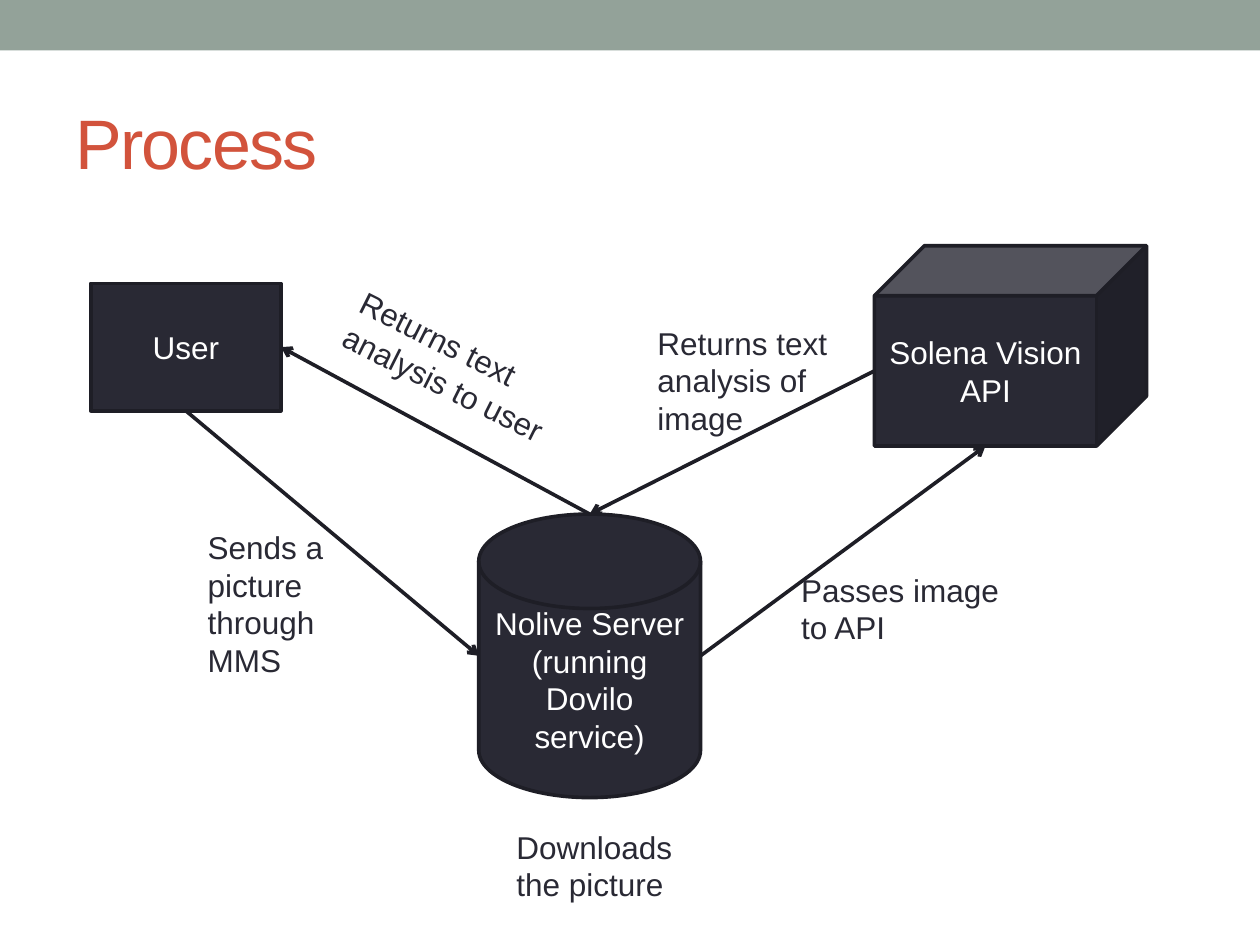
from lxml.etree import SubElement
from pptx import Presentation
from pptx.dml.color import RGBColor
from pptx.enum.shapes import MSO_CONNECTOR, MSO_SHAPE
from pptx.enum.text import MSO_ANCHOR, PP_ALIGN
from pptx.oxml.ns import qn
from pptx.util import Inches, Pt

COLORS = {
    "band": "93A299",
    "title": "D2533C",
    "node": "292934",
    "edge": "1E1E26",
    "light": "FFFFFF",
}
FONT = "Arial"
WIDTH, HEIGHT = Inches(10), Inches(7.5)
CUBE_DEPTH = 0.25

LABELS = [
    ("Sends a picture through MMS", (15.5, 55.2, 13.7, 17.47), 0),
    ("Downloads the picture", (40, 86.93, 15.7, 9.47), 0),
    ("Passes image to API", (62.6, 59.73, 18.3, 9.47), 0),
    ("Returns text analysis of image", (51.2, 33.6, 18.3, 13.47), 0),
    ("Returns text analysis to user", (26.1, 34.53, 20.7, 9.47), 26.7),
]


def color(name):
    return RGBColor.from_string(COLORS[name])


def place(left, top, width, height):
    return (
        int(WIDTH * left / 100),
        int(HEIGHT * top / 100),
        int(WIDTH * width / 100),
        int(HEIGHT * height / 100),
    )


def write(frame, lines, ink, size=18, align=PP_ALIGN.LEFT, anchor=MSO_ANCHOR.TOP):
    frame.word_wrap = True
    frame.vertical_anchor = anchor
    frame.text = "\n".join(lines)
    for paragraph in frame.paragraphs:
        paragraph.alignment = align
        paragraph.font.name = FONT
        paragraph.font.size = Pt(size)
        paragraph.font.color.rgb = color(ink)


def add_band(slide):
    band = slide.shapes.add_shape(MSO_SHAPE.RECTANGLE, *place(0, 0, 100, 5.33))
    band.shadow.inherit = False
    band.fill.solid()
    band.fill.fore_color.rgb = color("band")
    band.line.fill.background()


def add_title(slide, wording):
    title = slide.shapes.add_textbox(*place(5, 7.73, 90, 14.4))
    write(title.text_frame, [wording], "title", size=40, anchor=MSO_ANCHOR.MIDDLE)
    letters = title.text_frame.paragraphs[0].runs[0]
    letters._r.get_or_add_rPr().set("spc", "-100")


def add_node(slide, outline, area, *lines):
    node = slide.shapes.add_shape(outline, *place(*area))
    node.shadow.inherit = False
    node.fill.solid()
    node.fill.fore_color.rgb = color("node")
    node.line.color.rgb = color("edge")
    node.line.width = Pt(2.08)
    write(node.text_frame, lines, "light", align=PP_ALIGN.CENTER, anchor=MSO_ANCHOR.MIDDLE)
    return node


def add_arrow(slide, start, end):
    arrow = slide.shapes.add_connector(MSO_CONNECTOR.STRAIGHT, *start, *end)
    arrow.line.color.rgb = color("edge")
    arrow.line.width = Pt(2.08)
    properties = arrow._element.spPr
    SubElement(properties.get_or_add_ln(), qn("a:tailEnd"), type="arrow")
    SubElement(properties, qn("a:effectLst"))
    return arrow


def add_label(slide, wording, area, angle):
    label = slide.shapes.add_textbox(*place(*area))
    label.rotation = angle
    write(label.text_frame, [wording], "node")


def side_middles(left, top, width, height):
    center, middle = left + width // 2, top + height // 2
    return {
        "top": (center, top),
        "left": (left, middle),
        "bottom": (center, top + height),
        "right": (left + width, middle),
    }


def frame_of(node):
    return node.left, node.top, node.width, node.height


def cube_front(cube):
    depth = int(min(cube.width, cube.height) * CUBE_DEPTH)
    return cube.left, cube.top + depth, cube.width - depth, cube.height - depth


def main():
    deck = Presentation()
    deck.slide_width, deck.slide_height = WIDTH, HEIGHT
    slide = deck.slides.add_slide(deck.slide_layouts[6])
    add_band(slide)
    add_title(slide, "Process")

    server = add_node(slide, MSO_SHAPE.FLOWCHART_MAGNETIC_DISK, (38, 54.4, 17.6, 30),
                      "Nolive Server", "(running Dovilo service)")
    user = add_node(slide, MSO_SHAPE.FLOWCHART_PROCESS, (7.2, 30, 15.1, 13.47), "User")
    vision = add_node(slide, MSO_SHAPE.CUBE, (69.4, 26, 21.6, 21.2), "Solena Vision API")

    at_server = side_middles(*frame_of(server))
    at_user = side_middles(*frame_of(user))
    at_vision = side_middles(*cube_front(vision))

    add_arrow(slide, at_server["right"], at_vision["bottom"])
    add_arrow(slide, at_vision["left"], at_server["top"])
    reply = add_arrow(slide, at_server["top"], at_user["right"])
    reply.end_connect(user, 3)
    request = add_arrow(slide, at_user["bottom"], at_server["left"])
    request.begin_connect(user, 2)

    for wording, area, angle in LABELS:
        add_label(slide, wording, area, angle)
    deck.save("out.pptx")


if __name__ == "__main__":
    main()
